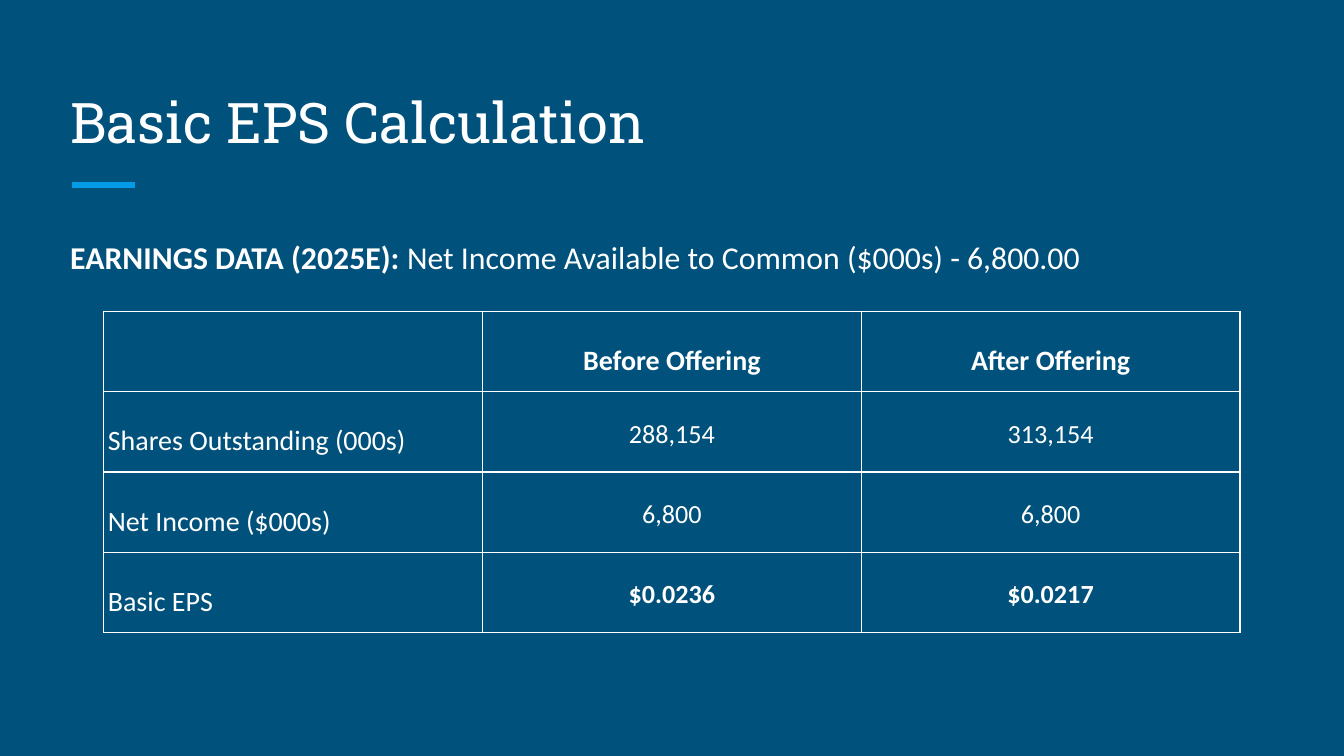
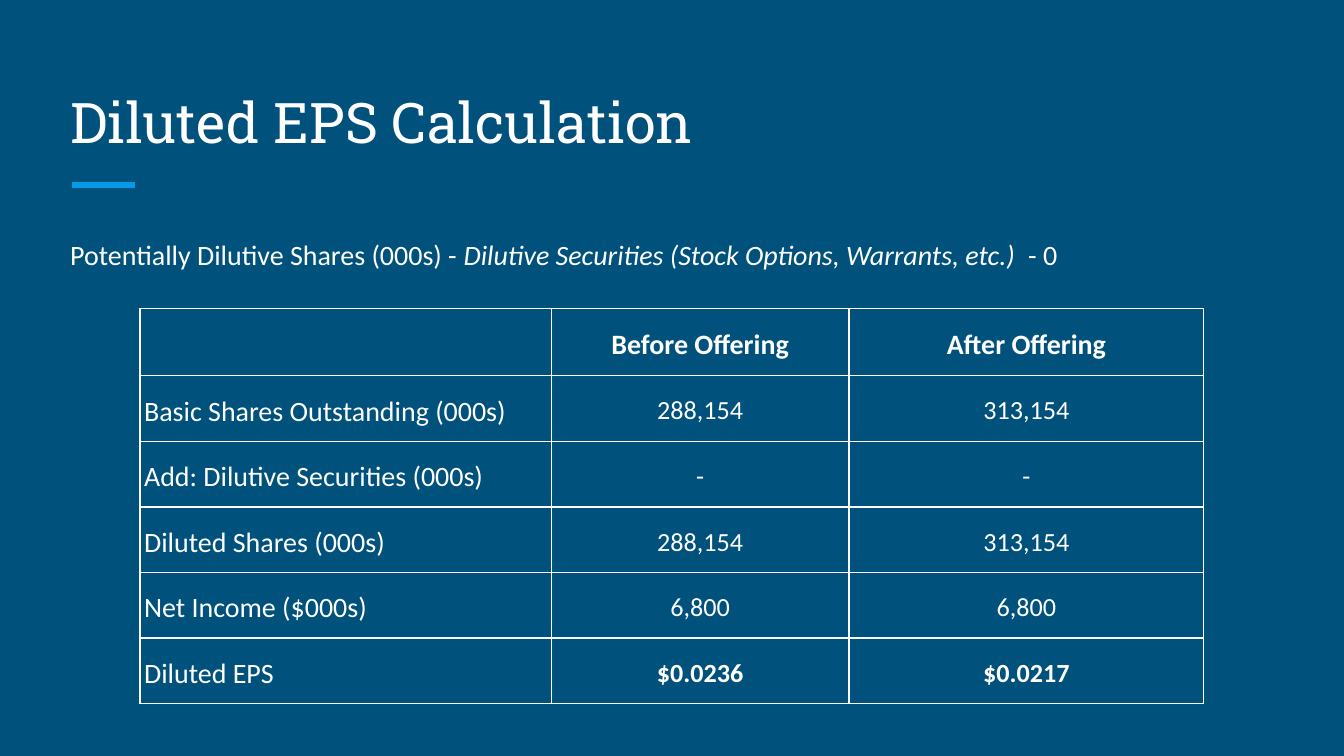
from lxml.etree import SubElement
from pptx import Presentation
from pptx.dml.color import RGBColor
from pptx.enum.shapes import MSO_CONNECTOR as Connector
from pptx.enum.text import MSO_ANCHOR as Anchor, PP_ALIGN as Align
from pptx.oxml.ns import qn
from pptx.util import Inches, Pt

NAVY, SKY, WHITE = "00517C", "039BE5", "FFFFFF"
TITLE_FONT, BODY_FONT = "Roboto Slab", "Calibri"
LABEL_SIZE, VALUE_SIZE = 15, 14
TEXT_LEFT, TEXT_WIDTH = 4.24, 91.5
HEADINGS = ("", "Before Offering", "After Offering")


def grid(*units):
    """Turn grid units, each a hundredth of the slide's width, into lengths."""
    return [Inches(unit / 10) for unit in units]


def color(hex_string):
    return RGBColor.from_string(hex_string)


def add_run(paragraph, text, size, font=BODY_FONT, bold=False, italic=False):
    run = paragraph.add_run()
    run.text = text
    run.font.name = font
    run.font.size = Pt(size)
    run.font.bold = bold
    run.font.italic = italic
    run.font.color.rgb = color(WHITE)


def add_text_box(slide, top, height, anchor):
    """Add a box across the text area and return its first paragraph."""
    box = slide.shapes.add_textbox(*grid(TEXT_LEFT, top, TEXT_WIDTH, height))
    frame = box.text_frame
    frame.word_wrap = True
    frame.vertical_anchor = anchor
    frame.margin_left, frame.margin_top, frame.margin_right, frame.margin_bottom = grid(1, 1, 1, 1)
    return frame.paragraphs[0]


def add_title_slide(presentation, title):
    slide = presentation.slides.add_slide(presentation.slide_layouts[6])
    slide.background.fill.solid()
    slide.background.fill.fore_color.rgb = color(NAVY)
    accent = slide.shapes.add_connector(Connector.STRAIGHT, *grid(5.37, 13.76, 10.04, 13.76))
    accent.line.color.rgb = color(SKY)
    accent.line.width = Pt(3)
    SubElement(accent._element.spPr, qn("a:effectLst"))
    add_run(add_text_box(slide, 5, 7.5, Anchor.BOTTOM), title, 30, TITLE_FONT)
    return slide


def add_lead(slide, size, *parts):
    """Add the line above the table; each part is a text and its run styles."""
    paragraph = add_text_box(slide, 16.3, 33.7, Anchor.TOP)
    paragraph.line_spacing = 1.15
    for text, styles in parts:
        add_run(paragraph, text, size, **styles)


def add_borders(cell):
    properties = cell._tc.get_or_add_tcPr()
    for side in ("lnL", "lnR", "lnT", "lnB"):
        line = SubElement(properties, qn(f"a:{side}"), w=str(Pt(0.75)))
        SubElement(SubElement(line, qn("a:solidFill")), qn("a:srgbClr"), val=WHITE)


def format_cell(cell, text, is_value, is_label, bold):
    add_borders(cell)
    if is_value:
        cell.fill.solid()
        cell.fill.fore_color.rgb = color(NAVY)
    else:
        cell.fill.background()
    cell.margin_left, cell.margin_top, cell.margin_right, cell.margin_bottom = grid(0.3, 1, 0.3, 1)
    cell.vertical_anchor = Anchor.MIDDLE if is_value else Anchor.BOTTOM
    if not text:
        return
    paragraph = cell.text_frame.paragraphs[0]
    paragraph.alignment = Align.LEFT if is_label else Align.CENTER
    paragraph.line_spacing = 1.15
    add_run(paragraph, text, VALUE_SIZE if is_value else LABEL_SIZE, bold=bold)


def add_eps_table(slide, left, top, column_widths, row_height, records):
    """Add a bordered table whose headings and closing result are bold."""
    rows = (HEADINGS, *records)
    last = len(rows) - 1
    frame = slide.shapes.add_table(
        len(rows), len(HEADINGS),
        *grid(left, top, sum(column_widths), row_height * len(rows)))
    table = frame.table
    table.first_row = table.horz_banding = False
    for column, width in zip(table.columns, grid(*column_widths)):
        column.width = width
    for row_index, record in enumerate(rows):
        table.rows[row_index].height = grid(row_height)[0]
        for column_index, text in enumerate(record):
            is_label = column_index == 0
            format_cell(
                table.cell(row_index, column_index), text,
                is_value=row_index > 0 and not is_label,
                is_label=is_label,
                bold=row_index in (0, last) and not is_label)


def add_basic_eps(presentation):
    slide = add_title_slide(presentation, "Basic EPS Calculation")
    add_lead(slide, 17,
             ("EARNINGS DATA (2025E): ", {"bold": True}),
             ("Net Income Available to Common ($000s) - 6,800.00", {}))
    add_eps_table(slide, 7.73, 23.16, (28.18, 28.18, 28.18), 5.98, (
        ("Shares Outstanding (000s)", "288,154", "313,154"),
        ("Net Income ($000s)", "6,800", "6,800"),
        ("Basic EPS", "$0.0236", "$0.0217")))


def add_diluted_eps(presentation):
    slide = add_title_slide(presentation, "Diluted EPS Calculation")
    add_lead(slide, 15,
             ("Potentially Dilutive Shares (000s) - ", {}),
             ("Dilutive Securities (Stock Options, Warrants, etc.) ", {"italic": True}),
             (" - 0", {}))
    add_eps_table(slide, 10.42, 22.96, (30.6, 22.15, 26.4), 4.2, (
        ("Basic Shares Outstanding (000s)", "288,154", "313,154"),
        ("Add: Dilutive Securities (000s)", "-", "-"),
        ("Diluted Shares (000s)", "288,154", "313,154"),
        ("Net Income ($000s)", "6,800", "6,800"),
        ("Diluted EPS", "$0.0236", "$0.0217")))


def main():
    presentation = Presentation()
    presentation.slide_width, presentation.slide_height = grid(100, 56.25)
    add_basic_eps(presentation)
    add_diluted_eps(presentation)
    presentation.save("out.pptx")


if __name__ == "__main__":
    main()
